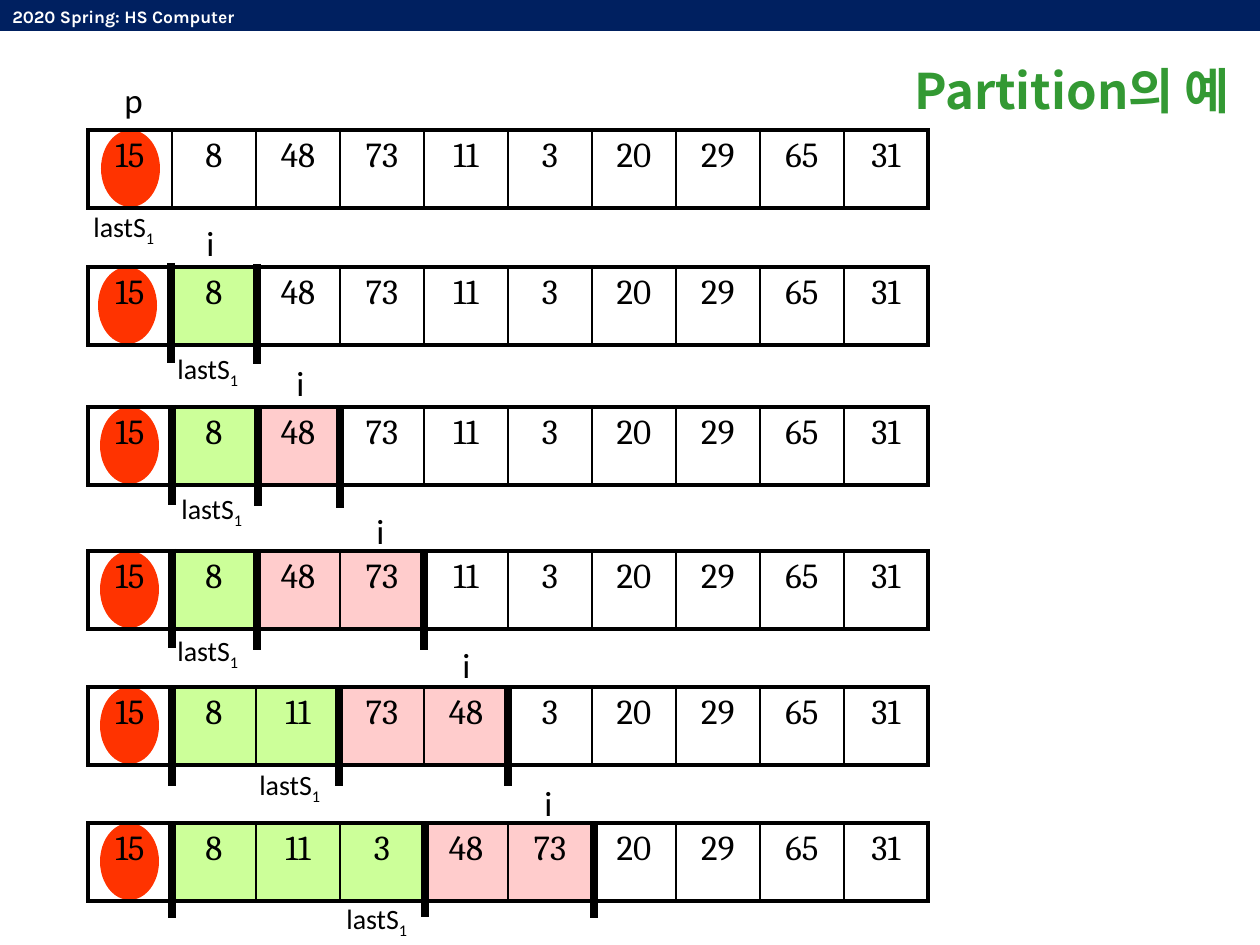
from lxml.etree import SubElement
from pptx import Presentation
from pptx.dml.color import RGBColor
from pptx.enum.shapes import MSO_CONNECTOR, MSO_SHAPE
from pptx.enum.text import MSO_ANCHOR, PP_ALIGN
from pptx.oxml.ns import qn
from pptx.util import Emu, Pt

COLORS = {"navy": "002060", "white": "FFFFFF", "black": "000000", "title": "339933",
          "pivot": "FF3300", "small": "CCFF99", "large": "FFCCCC"}
HEADER = "2020 Spring: HS Computer"
TITLE = "Partition의 예"
REST = [20, 29, 65, 31]

STEPS = [
    dict(top=130, values=[15, 8, 48, 73, 11, 3], small=0, large=0, pivot=101,
         bars=[], length=0, mark=("p", 112, 72), last=(81, 203)),
    dict(top=267, values=[15, 8, 48, 73, 11, 3], small=1, large=0, pivot=98,
         bars=[(171, 263), (257, 264)], length=100, mark=("i", 194, 215), last=(165, 345)),
    dict(top=407, values=[15, 8, 48, 73, 11, 3], small=1, large=1, pivot=100,
         bars=[(172, 405), (258, 406), (340, 408)], length=100,
         mark=("i", 284, 355), last=(169, 485)),
    dict(top=551, values=[15, 8, 48, 73, 11, 3], small=1, large=2, pivot=100,
         bars=[(172, 549), (257, 551), (424, 551)], length=99,
         mark=("i", 364, 503), last=(165, 627)),
    dict(top=687, values=[15, 8, 11, 73, 48, 3], small=2, large=2, pivot=100,
         bars=[(172, 688), (339, 688), (508, 688)], length=98,
         mark=("i", 450, 637), last=(247, 761)),
    dict(top=823, values=[15, 8, 11, 3, 48, 73], small=3, large=2, pivot=100,
         bars=[(172, 824), (425, 823), (594, 824)], length=94,
         mark=("i", 532, 775), last=(334, 895)),
]
LEFT, COL_W, ROW_H = 88, 84, 78
THICK, THIN = 2.25, 1


def px(n):
    return Emu(n * 914400 // 126)


def rgb(name):
    return RGBColor.from_string(COLORS[name])


def add_block(kind, x, y, w, h, color):
    sp = s.shapes.add_shape(kind, px(x), px(y), px(w), px(h))
    sp.shadow.inherit = False
    sp.fill.solid()
    sp.fill.fore_color.rgb = rgb(color)
    sp.line.fill.background()


def style(p, size, font, color="black", bold=False):
    p.font.size = Pt(size)
    p.font.name = font
    p.font.bold = bold
    p.font.color.rgb = rgb(color)


def add_text(text, x, y, w, h, size, font="Calibri", color="black", bold=False, wrap=False):
    tf = s.shapes.add_textbox(px(x), px(y), px(w), px(h)).text_frame
    tf.word_wrap = wrap
    p = tf.paragraphs[0]
    p.add_run().text = text
    style(p, size, font, color, bold)
    return tf


def set_borders(cell, widths):
    tcPr = cell._tc.get_or_add_tcPr()
    for i, (side, width) in enumerate(zip(("lnL", "lnR", "lnT", "lnB"), widths)):
        ln = tcPr.makeelement(qn("a:" + side), {"w": str(Pt(width))})
        fill = SubElement(ln, qn("a:solidFill"))
        SubElement(fill, qn("a:srgbClr"), val=COLORS["black"])
        tcPr.insert(i, ln)


def add_array(step):
    values = step["values"] + REST
    n = len(values)
    fills = [None] + ["small"] * step["small"] + ["large"] * step["large"]
    fills += [None] * (n - len(fills))
    table = s.shapes.add_table(1, n, px(LEFT), px(step["top"]), px(COL_W * n), px(ROW_H)).table
    table.first_row = table.horz_banding = False
    table.rows[0].height = px(ROW_H)
    for i, (value, fill) in enumerate(zip(values, fills)):
        table.columns[i].width = px(COL_W)
        cell = table.cell(0, i)
        if fill:
            cell.fill.solid()
            cell.fill.fore_color.rgb = rgb(fill)
        else:
            cell.fill.background()
        set_borders(cell, (THICK if i == 0 else THIN, THICK if i == n - 1 else THIN, THICK, THICK))
        p = cell.text_frame.paragraphs[0]
        p.add_run().text = str(value)
        p.alignment = PP_ALIGN.CENTER
        style(p, 20, "Cambria")


def add_bar(x, y, length):
    line = s.shapes.add_connector(MSO_CONNECTOR.STRAIGHT, px(x), px(y), px(x), px(y + length))
    line.line.width = Pt(4.5)
    line.line.color.rgb = rgb("black")
    SubElement(line._element.spPr, qn("a:effectLst"))


prs = Presentation()
prs.slide_width, prs.slide_height = px(1260), px(945)
s = prs.slides.add_slide(prs.slide_layouts[6])

add_block(MSO_SHAPE.RECTANGLE, 0, 0, 1260, 31, "navy")
add_text(HEADER, 0, 0, 291, 34, 10, "Karla", "white", True, wrap=True)

for step in STEPS:
    add_block(MSO_SHAPE.OVAL, step["pivot"], step["top"], 59, 77, "pivot")
    add_array(step)
    for x, y in step["bars"]:
        add_bar(x, y, step["length"])
    mark, x, y = step["mark"]
    add_text(mark, x, y, 45 if mark == "p" else 33, 54, 20)
    x, y = step["last"]
    tf = add_text("lastS", x, y, 98, 47, 16)
    r = tf.paragraphs[0].add_run()
    r.text = "1"
    r._r.get_or_add_rPr().set("baseline", "-25000")

tf = add_text(TITLE, 871, 26, 402, 127, 28, "Noto Sans CJK KR", "title", True, wrap=True)
tf.vertical_anchor = MSO_ANCHOR.MIDDLE
p = tf.paragraphs[0]
p.alignment = PP_ALIGN.CENTER
SubElement(p.font._element, qn("a:ea"), typeface="Noto Sans CJK KR")

prs.save("out.pptx")
